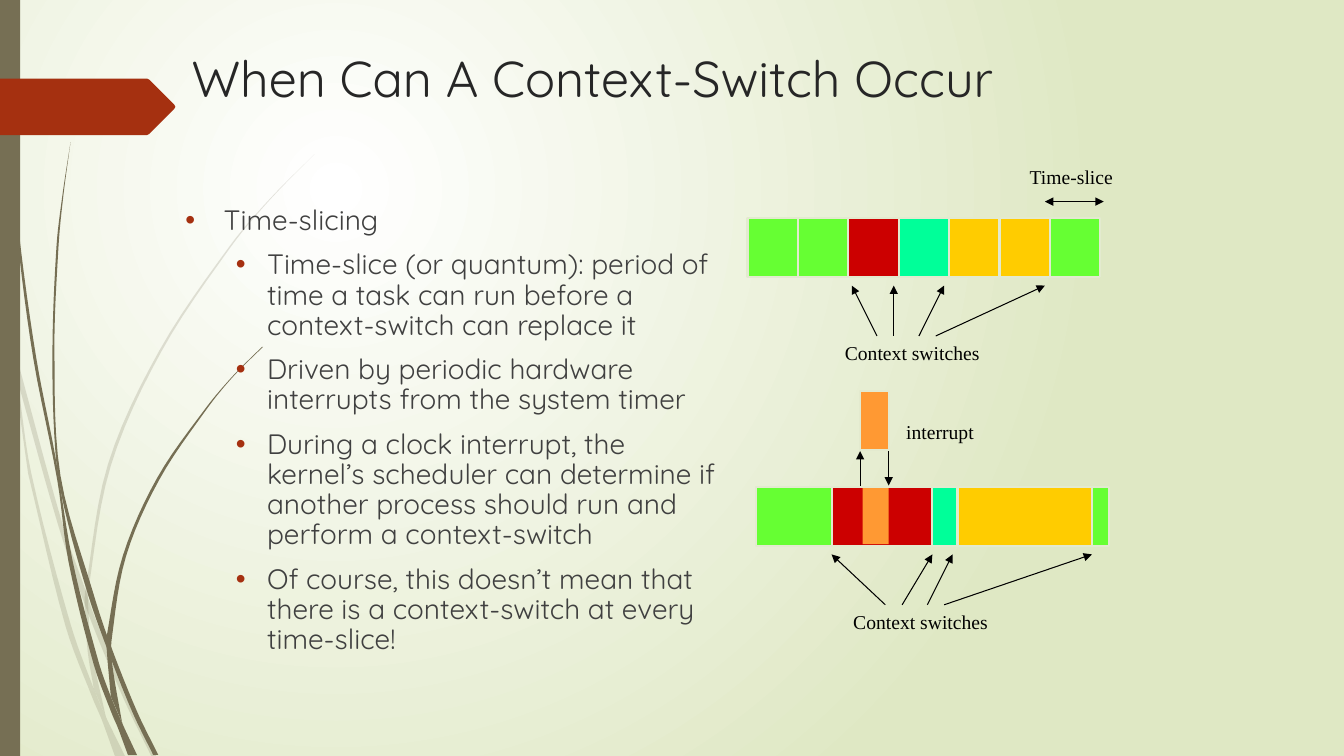
from collections import namedtuple
from math import dist
from lxml.etree import SubElement
from pptx import Presentation
from pptx.dml.color import RGBColor
from pptx.enum.shapes import MSO_CONNECTOR as Connector, MSO_SHAPE as Shape
from pptx.enum.text import MSO_ANCHOR as Anchor, MSO_AUTO_SIZE as AutoSize, PP_ALIGN as Align
from pptx.oxml.ns import qn
from pptx.util import Emu, Inches, Pt

COLUMNS, ROWS = 160, 90
UNIT = Inches(1) / 12
SANS, SERIF = "Quicksand", "Times New Roman"
OLIVE, RUST, PALE, BLACK = "766F54", "A53010", "E3EACF", "000000"
GREEN, RED, TEAL, YELLOW, ORANGE = "66FF33", "CC0000", "00FF99", "FFCC00", "FF9933"

Box = namedtuple("Box", "left top width height")

PALE_STRANDS = [
    ([(14, 345), (62, 520), (85, 586), (92, 607), (127, 692), (155, 750)],
     [(150, 750), (123, 694), (88, 610), (58, 522), (17, 376)]),
    ([(11, 350), (17, 376), (31, 469), (70, 619), (93, 683), (105, 711), (124, 750)],
     [(114, 750), (101, 714), (92, 693), (65, 621), (28, 470)]),
    ([(312, 153), (268, 198), (229, 245), (160, 349), (110, 462), (88, 584), (88, 610),
      (91, 646), (105, 711)],
     [(93, 683), (87, 646), (84, 599), (85, 584), (107, 461), (158, 348), (228, 244),
      (268, 197), (312, 153)]),
]
DARK_STRANDS = [
    ([(4, 0), (5, 48), (8, 109), (19, 232), (36, 355), (55, 453), (72, 556), (98, 657),
      (110, 691), (122, 719), (136, 749)],
     [(127, 749), (117, 722), (111, 708), (93, 659), (68, 557), (57, 477), (33, 355),
      (17, 233), (7, 110), (4, 48), (3, 0)]),
    ([(70, 141), (63, 193), (58, 245), (54, 349), (60, 472), (93, 590), (110, 641),
      (136, 706), (157, 749)],
     [(152, 749), (132, 708), (111, 656), (88, 592), (64, 505), (55, 449), (52, 349),
      (56, 245), (62, 193), (70, 141)]),
    ([(261, 344), (231, 374), (205, 406), (158, 476), (125, 552), (111, 633), (111, 656),
      (121, 716), (122, 719)],
     [(110, 691), (106, 645), (106, 631), (122, 551), (156, 474), (204, 405), (231, 373),
      (260, 344)]),
]
RIBBON = [(0, 78), (146, 78), (148, 79), (173, 104), (174, 106), (173, 108), (148, 133),
          (146, 134), (0, 134)]
BULLETS = [
    (0, "Time-slicing"),
    (1, "Time-slice (or quantum): period of time a task can run before a "
        "context-switch can replace it"),
    (1, "Driven by periodic hardware interrupts from the system timer"),
    (1, "During a clock interrupt, the kernel’s scheduler can determine if another "
        "process should run and perform a context-switch"),
    (1, "Of course, this doesn’t mean that there is a context-switch at every time-slice!"),
]


def color(value):
    return RGBColor.from_string(value)


def units(*values):
    return [Emu(round(value * UNIT)) for value in values]


def add_span(para, text, size, font, value):
    span = para.add_run()
    span.text = text
    span.font.size, span.font.name = Pt(size), font
    span.font.color.rgb = color(value)


def paint(shape, fill, line=None):
    shape.shadow.inherit = False
    shape.fill.solid()
    shape.fill.fore_color.rgb = color(fill)
    if line:
        shape.line.color.rgb = color(line)
        shape.line.width = Pt(1.5)
    else:
        shape.line.fill.background()


def add_bar(page, left, top, width, height, fill, line=PALE):
    bar = page.shapes.add_shape(Shape.RECTANGLE, *units(left, top, width, height))
    paint(bar, fill, line)


def add_arrow(page, start, end, ends=("tailEnd",)):
    arrow = page.shapes.add_connector(Connector.STRAIGHT, *units(*start, *end))
    arrow.line.color.rgb = color(BLACK)
    arrow.line.width = Pt(0.75)
    for name in ends:
        SubElement(arrow.line._get_or_add_ln(), qn(f"a:{name}"), type="triangle")
    SubElement(arrow._element.spPr, qn("a:effectLst"))


def add_label(page, left, top, width, text):
    label = page.shapes.add_textbox(*units(left, top, width, 4))
    label.text_frame.word_wrap = False
    label.text_frame.auto_size = AutoSize.SHAPE_TO_FIT_TEXT
    add_span(label.text_frame.paragraphs[0], text, 14, SERIF, BLACK)


def smooth_edge(knots, steps=6):
    padded = [knots[0], *knots, knots[-1]]
    slopes = [tuple((n - p) / (dist(before, at) + dist(at, after))
                    for p, n in zip(before, after))
              for before, at, after in zip(padded, padded[1:], padded[2:])]
    curve = [knots[0]]
    for start, end, leave, arrive in zip(knots, knots[1:], slopes, slopes[1:]):
        span = dist(start, end)
        for t in (step / steps for step in range(1, steps + 1)):
            ease = t * t * (3 - 2 * t)
            curve.append(tuple(
                a + (b - a) * ease + span * t * (1 - t) * (u * (1 - t) - v * t)
                for a, b, u, v in zip(start, end, leave, arrive)))
    return curve


def add_outline(page, box, points, fill):
    step = box.height * UNIT / 750
    places = [(round(box.left * UNIT + x * step), round(box.top * UNIT + y * step))
              for x, y in points]
    builder = page.shapes.build_freeform(*places[0])
    builder.add_line_segments(places[1:], close=True)
    outline = builder.convert_to_shape()
    paint(outline, fill)
    return outline


def add_backdrop(page, box):
    fill = page.background.fill
    fill.gradient()
    for stop, value, position in zip(fill.gradient_stops, ("FFFFFF", "DFE8C4"), (0, 1)):
        stop.color.rgb = color(value)
        stop.position = position
    gradient = page.background._cSld.find(".//" + qn("a:gradFill"))
    gradient.remove(gradient.find(qn("a:lin")))
    circle = SubElement(gradient, qn("a:path"), path="circle")
    SubElement(circle, qn("a:fillToRect"), l="50000", t="50000", r="100000", b="100000")
    for right, left in PALE_STRANDS:
        strand = add_outline(page, box, smooth_edge(right) + smooth_edge(left), OLIVE)
        tint = strand._element.spPr.find(".//" + qn("a:srgbClr"))
        SubElement(tint, qn("a:alpha"), val="20000")
    for right, left in DARK_STRANDS:
        add_outline(page, box, smooth_edge(right) + smooth_edge(left), OLIVE)
    add_bar(page, box.left, box.top, 2.4, box.height, OLIVE, None)
    add_outline(page, box, RIBBON, RUST)


def add_title(page, box):
    title = page.shapes.title
    title.left, title.top, title.width, title.height = units(*box)
    frame = title.text_frame
    frame.vertical_anchor = Anchor.TOP
    frame.word_wrap = True
    frame.auto_size = AutoSize.NONE
    para = frame.paragraphs[0]
    para.alignment = Align.LEFT
    add_span(para, "When Can A Context-Switch Occur", 36, SANS, "262626")


def add_bullets(page, box):
    frame = page.shapes.add_textbox(*units(*box)).text_frame
    frame.word_wrap = True
    for index, (level, text) in enumerate(BULLETS):
        para = frame.add_paragraph() if index else frame.paragraphs[0]
        margin, hanging = ((0.38, 0.38), (0.81, 0.31))[level]
        props = para._p.get_or_add_pPr()
        props.set("marL", str(Inches(margin)))
        props.set("indent", str(-Inches(hanging)))
        para.level = level
        para.line_spacing = 0.9
        para.space_before = Pt(10 if index else 0)
        SubElement(SubElement(props, qn("a:buClr")), qn("a:srgbClr"), val=RUST)
        SubElement(props, qn("a:buFont"), typeface="Arial")
        SubElement(props, qn("a:buChar"), char="•")
        add_span(para, text, 20, SANS, "404040")


def add_switch_fan(page, left, top, tips):
    for tail, tip in zip((15.4, 17.4, 20.4, 22.4), tips):
        add_arrow(page, (left + tail, top + 6), (left + tip, top))
    add_label(page, left + 10.4, top + 6, 19.2, "Context switches")


def add_equal_slices(page, box):
    left, top = box.left, box.top
    for index, fill in enumerate((GREEN, GREEN, RED, TEAL, YELLOW, YELLOW, GREEN)):
        add_bar(page, left + 6 * index, top + 7, 6, 7, fill)
    add_arrow(page, (left + 35.4, top + 5), (left + 42.4, top + 5), ("headEnd", "tailEnd"))
    add_label(page, left + 32.4, top, 13, "Time-slice")
    add_switch_fan(page, left, top + 15, (12.4, 17.4, 23.4, 35.4))


def add_interrupted_slices(page, box):
    left, top = box.left, box.top
    slices = ((0, 9, GREEN), (18, 6, TEAL), (36, 6, GREEN), (9, 12, RED), (24, 16, YELLOW))
    for start, width, fill in slices:
        add_bar(page, left + start, top + 12, width, 7, fill)
    add_switch_fan(page, left, top + 20, (9, 21, 23.4, 40))
    add_bar(page, left + 12.4, top + 0.6, 3.4, 7, ORANGE)
    add_arrow(page, (left + 12.4, top + 11.8), (left + 12.4, top + 7.7))
    add_arrow(page, (left + 15.8, top + 7.7), (left + 15.8, top + 11.8))
    add_bar(page, left + 12.7, top + 12.1, 3.1, 6.7, ORANGE, None)
    add_label(page, left + 16.7, top + 3.4, 11.2, "interrupt")


def main():
    deck = Presentation()
    deck.slide_width, deck.slide_height = units(COLUMNS, ROWS)
    page = deck.slides.add_slide(deck.slide_layouts[5])
    add_backdrop(page, Box(0, 0, COLUMNS, ROWS))
    add_title(page, Box(21.6, 5, 117, 11.8))
    add_bullets(page, Box(20.9, 24, 65.8, 66))
    add_equal_slices(page, Box(89, 19, 45, 25))
    add_interrupted_slices(page, Box(90, 46, 42, 30))
    deck.save("out.pptx")


if __name__ == "__main__":
    main()
